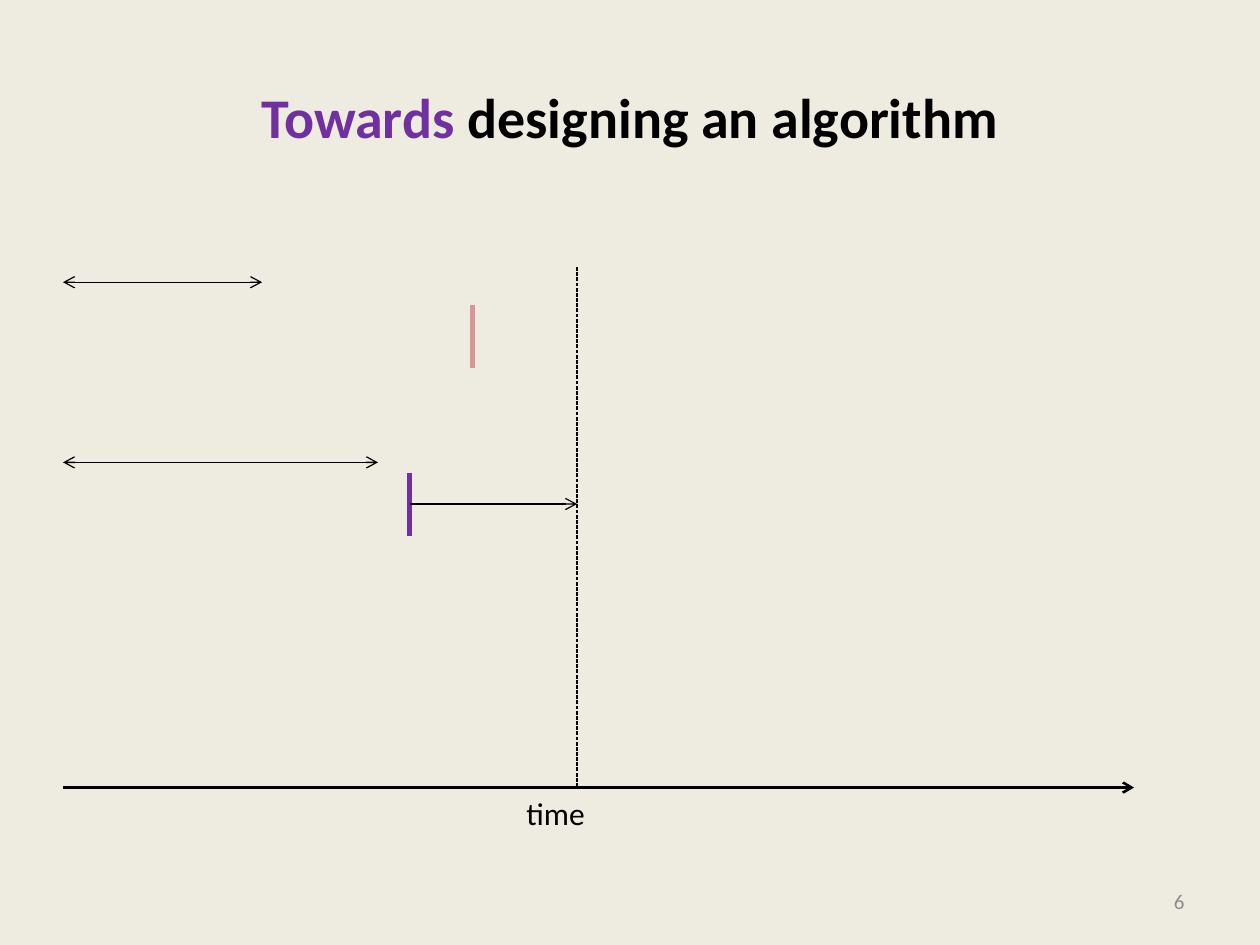
from lxml import etree
from pptx import Presentation
from pptx.dml.color import RGBColor
from pptx.enum.dml import MSO_LINE
from pptx.enum.shapes import MSO_CONNECTOR
from pptx.enum.text import MSO_ANCHOR, PP_ALIGN
from pptx.oxml.ns import qn
from pptx.util import Inches, Pt

STRAIGHT = MSO_CONNECTOR.STRAIGHT
DASH = MSO_LINE.SQUARE_DOT
MIDDLE, TOP = MSO_ANCHOR.MIDDLE, MSO_ANCHOR.TOP
LEFT, CENTER, RIGHT = PP_ALIGN.LEFT, PP_ALIGN.CENTER, PP_ALIGN.RIGHT

BACKGROUND = RGBColor(0xEE, 0xEC, 0xE1)
BLACK = RGBColor(0, 0, 0)
PURPLE = RGBColor(0x70, 0x30, 0xA0)
PINK = RGBColor(0xD9, 0x96, 0x94)
GRAY = RGBColor(0x8C, 0x8C, 0x8C)

AXIS_START, AXIS_END, AXIS_Y = 0.5, 9, 6.25
DEADLINE_X = 4.58
TICK_HEIGHT = 0.5
PURPLE_TICK = (3.25, 3.75)
PINK_TICK = (3.75, 2.42)
INTERVALS = [(2.08, 2.24), (3, 3.67)]


def add_text(page, place, spans, size, align=LEFT, anchor=TOP, bold=False, wrap=True):
    box = page.shapes.add_textbox(*(Inches(length) for length in place))
    frame = box.text_frame
    frame.word_wrap = wrap
    frame.vertical_anchor = anchor
    para = frame.paragraphs[0]
    para.alignment = align
    para.font.name = "Calibri"
    para.font.size = Pt(size)
    para.font.bold = bold
    for text, color in spans:
        span = para.add_run()
        span.text = text
        span.font.color.rgb = color


def add_line(page, start, end, color=BLACK, width=0.75, dash=None, arrow_ends=()):
    points = (Inches(length) for length in (*start, *end))
    connector = page.shapes.add_connector(STRAIGHT, *points)
    line = connector.line
    line.color.rgb = color
    line.width = Pt(width)
    if dash is not None:
        line.dash_style = dash
    outline = line._get_or_add_ln()
    for end_name in arrow_ends:
        etree.SubElement(outline, qn(f"a:{end_name}"), type="arrow")
    etree.SubElement(connector._element.spPr, qn("a:effectLst"))


def add_tick(page, x, top, color):
    add_line(page, (x, top), (x, top + TICK_HEIGHT), color, width=3)


def add_interval(page, end_x, y):
    add_line(page, (AXIS_START, y), (end_x, y), arrow_ends=("headEnd", "tailEnd"))


def main():
    deck = Presentation()
    deck.slide_width, deck.slide_height = Inches(10), Inches(7.5)
    page = deck.slides.add_slide(deck.slide_layouts[6])
    page.background.fill.solid()
    page.background.fill.fore_color.rgb = BACKGROUND

    title = [("Towards", PURPLE), (" designing an algorithm", BLACK)]
    add_text(page, (0.5, 0.3, 9, 1.25), title, 32, CENTER, MIDDLE, bold=True)
    add_text(page, (7.17, 6.95, 2.33, 0.4), [("6", GRAY)], 12, RIGHT, MIDDLE)

    add_line(page, (AXIS_START, AXIS_Y), (AXIS_END, AXIS_Y), width=1.5, arrow_ends=("tailEnd",))
    add_text(page, (4.08, AXIS_Y, 0.67, 0.4), [("time", BLACK)], 18, wrap=False)

    add_tick(page, *PINK_TICK, PINK)
    add_tick(page, *PURPLE_TICK, PURPLE)
    for end_x, y in INTERVALS:
        add_interval(page, end_x, y)

    add_line(page, (DEADLINE_X, 2.12), (DEADLINE_X, AXIS_Y), dash=DASH)
    tick_x, tick_top = PURPLE_TICK
    middle_y = tick_top + TICK_HEIGHT / 2
    add_line(page, (tick_x, middle_y), (DEADLINE_X, middle_y), arrow_ends=("tailEnd",))

    deck.save("out.pptx")


if __name__ == "__main__":
    main()
